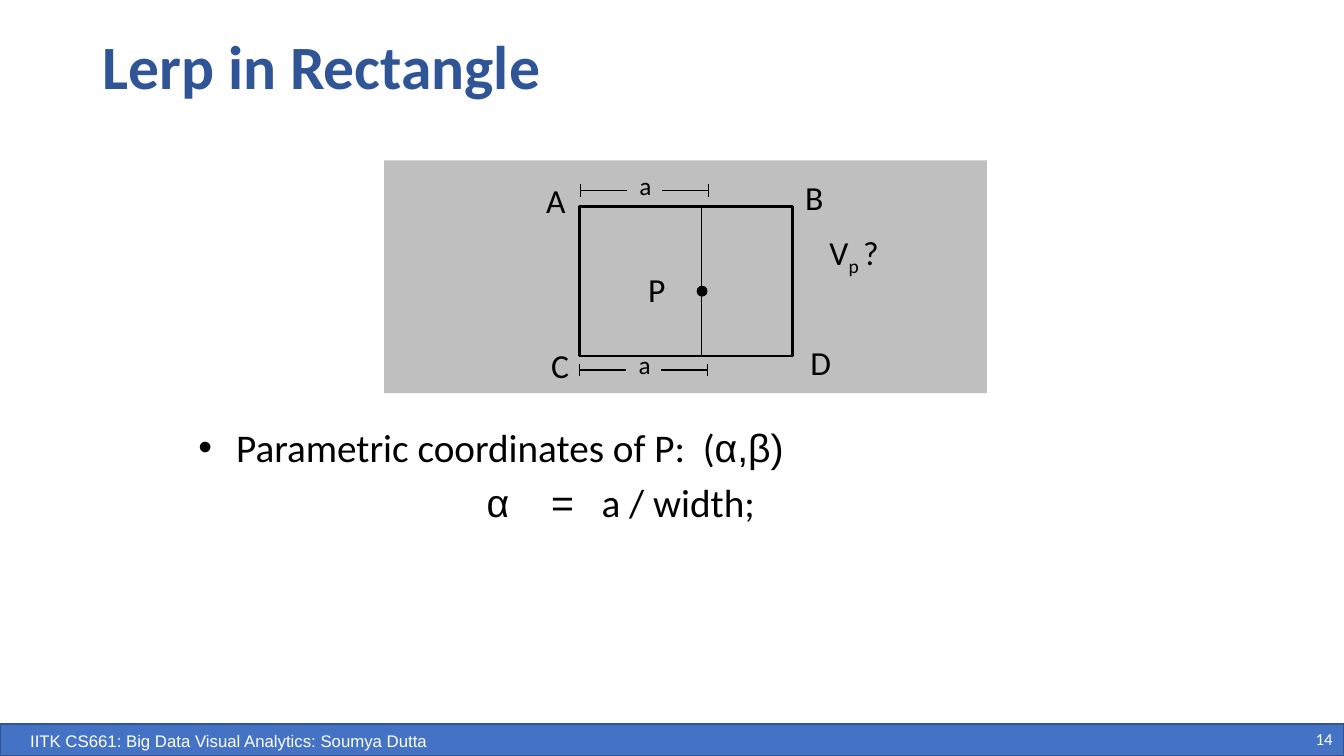
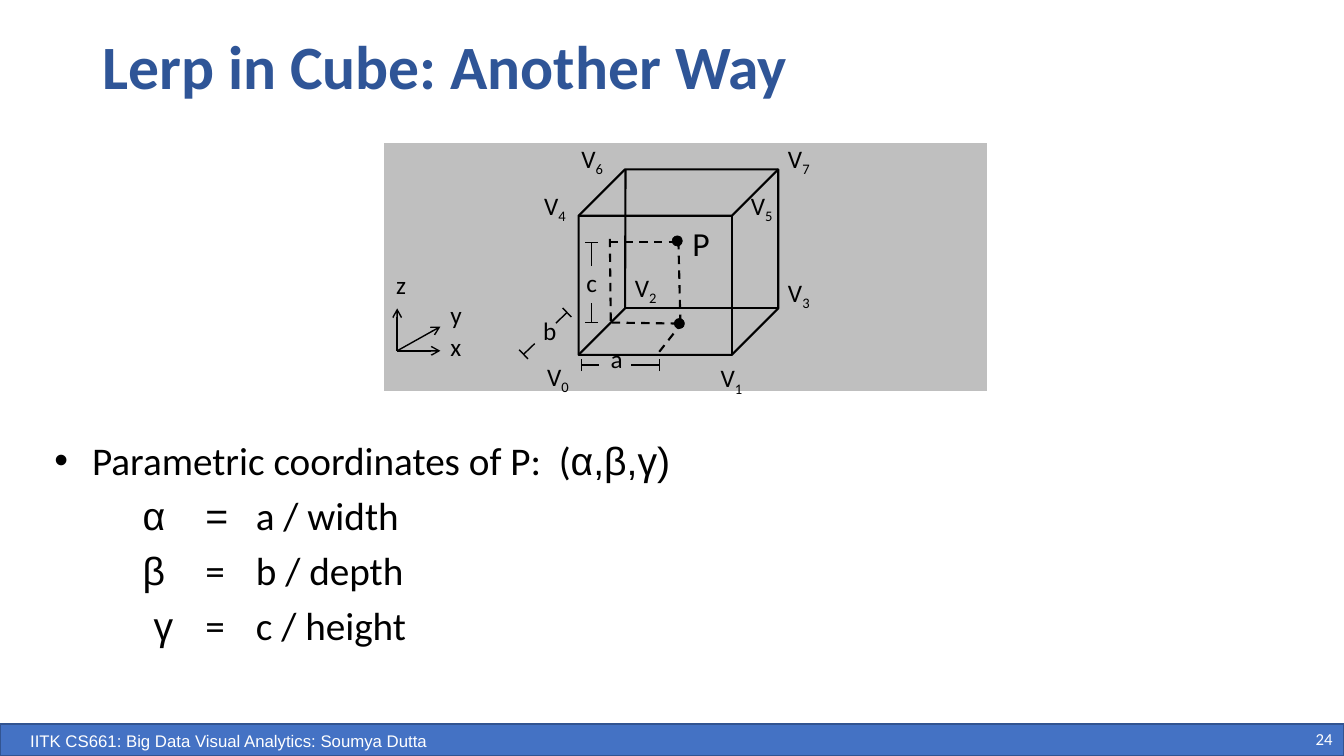
import math
from lxml import etree
from pptx import Presentation
from pptx.dml.color import RGBColor
from pptx.enum.dml import MSO_LINE
from pptx.enum.shapes import MSO_CONNECTOR, MSO_SHAPE
from pptx.enum.text import MSO_ANCHOR, MSO_AUTO_SIZE, PP_ALIGN
from pptx.oxml.ns import qn
from pptx.util import Pt

RECT, CUBE, OVAL = MSO_SHAPE.RECTANGLE, MSO_SHAPE.CUBE, MSO_SHAPE.OVAL
STRAIGHT, DASH = MSO_CONNECTOR.STRAIGHT, MSO_LINE.DASH
TOP, MIDDLE = MSO_ANCHOR.TOP, MSO_ANCHOR.MIDDLE
LEFT, CENTER, RIGHT = PP_ALIGN.LEFT, PP_ALIGN.CENTER, PP_ALIGN.RIGHT
FIT = MSO_AUTO_SIZE.SHAPE_TO_FIT_TEXT


def rgb(color):
    return RGBColor.from_string(color)


class Deck:
    SANS, ARIAL = "Calibri", "Arial"
    BLACK, WHITE, GRAY = "000000", "FFFFFF", "BFBFBF"
    TITLE, BAND, BAND_EDGE = "2F5597", "4472C4", "325491"
    WIDTH, HEIGHT = 960, 540
    FOOTER = "IITK CS661: Big Data Visual Analytics: Soumya Dutta"

    def __init__(self):
        self.prs = Presentation()
        self.prs.slide_width = Pt(self.WIDTH)
        self.prs.slide_height = Pt(self.HEIGHT)
        self.s = None

    def slide(self, title, number):
        self.s = self.prs.slides.add_slide(self.prs.slide_layouts[6])
        self.shape(RECT, 0, 517, self.WIDTH, 23, self.BAND, self.BAND_EDGE)
        tf = self.box(894, 516, 65, 23, MIDDLE)
        self.run(self.para(tf, RIGHT), str(number), 12, color=self.WHITE)
        tf = self.box(0, 518.4, 327, 21.6)
        self.run(self.para(tf, CENTER), self.FOOTER, 12, self.ARIAL, self.WHITE)
        tf = self.box(66, 17, 828, 66, MIDDLE)
        p = self.para(tf)
        p.line_spacing = 0.9
        self.run(p, title, 44, color=self.TITLE).font.bold = True

    def box(self, x, y, w, h, anchor=TOP, wrap=True):
        tf = self.s.shapes.add_textbox(Pt(x), Pt(y), Pt(w), Pt(h)).text_frame
        tf.word_wrap = wrap
        tf.vertical_anchor = anchor
        return tf

    def para(self, tf, align=LEFT):
        p = tf.paragraphs[0] if not tf.paragraphs[0].runs else tf.add_paragraph()
        p.alignment = align
        return p

    def run(self, p, text, size, font=SANS, color=BLACK, sub=False):
        r = p.add_run()
        r.text = text
        r.font.size, r.font.name = Pt(size), font
        r.font.color.rgb = rgb(color)
        if sub:
            r._r.get_or_add_rPr().set("baseline", "-25000")
        return r

    def shape(self, kind, x, y, w, h, fill=None, line=None, weight=1):
        sp = self.s.shapes.add_shape(kind, Pt(x), Pt(y), Pt(w), Pt(h))
        sp.shadow.inherit = False
        if fill:
            sp.fill.solid()
            sp.fill.fore_color.rgb = rgb(fill)
        else:
            sp.fill.background()
        if line:
            sp.line.color.rgb = rgb(line)
            sp.line.width = Pt(weight)
        else:
            sp.line.fill.background()
        return sp

    def dot(self, x, y):
        self.shape(OVAL, x - 3.6, y - 3.6, 7.2, 7.2, self.BLACK, self.BLACK, 0.5)

    def line(self, x1, y1, x2, y2, weight=1, dash=False, arrow=False):
        c = self.s.shapes.add_connector(STRAIGHT, Pt(x1), Pt(y1), Pt(x2), Pt(y2))
        c.line.color.rgb = rgb(self.BLACK)
        c.line.width = Pt(weight)
        if dash:
            c.line.dash_style = DASH
        if arrow:
            etree.SubElement(c.line._get_or_add_ln(), qn("a:tailEnd"), type="arrow")
        etree.SubElement(c._element.spPr, qn("a:effectLst"))

    def label(self, x, y, w, text, size=18, sub="", rest=""):
        tf = self.box(x, y, w, size * 1.2 + 7.2, wrap=False)
        tf.auto_size = FIT
        p = self.para(tf)
        self.run(p, text, size)
        if sub:
            self.run(p, sub, size, sub=True)
        if rest:
            self.run(p, rest, size)

    def dimension(self, start, end, bars, text, text_at):
        (x1, y1), (x2, y2) = start, end
        length = math.hypot(x2 - x1, y2 - y1)
        ux, uy = (x2 - x1) / length, (y2 - y1) / length
        for (x, y), bar in ((start, bars[0]), (end, -bars[1])):
            self.line(x, y, x + bar * ux, y + bar * uy)
            self.line(x - 4.5 * uy, y + 4.5 * ux, x + 4.5 * uy, y - 4.5 * ux)
        self.label(*text_at, 23, text)

    def body(self, x, y, w, symbols, formulas):
        tf = self.box(x, y, w, 195)
        p = self.para(tf)
        pPr = p._p.get_or_add_pPr()
        pPr.set("marL", str(Pt(27)))
        pPr.set("indent", str(Pt(-27)))
        etree.SubElement(pPr, qn("a:buFont"), typeface=self.ARIAL)
        etree.SubElement(pPr, qn("a:buChar"), char="•")
        self.run(p, "Parametric coordinates of P:  (", 28)
        self.run(p, symbols + ")", 28, self.ARIAL)
        for symbol, ratio, equals_font, start, stops in formulas:
            p = self.para(tf)
            p.space_before = Pt(5.6)
            pPr = p._p.get_or_add_pPr()
            pPr.set("marL", "0")
            pPr.set("indent", str(Pt(start)))
            etree.SubElement(pPr, qn("a:buNone"))
            tabs = etree.SubElement(pPr, qn("a:tabLst"))
            for stop in stops:
                etree.SubElement(tabs, qn("a:tab"), pos=str(Pt(stop)), algn="l")
            self.run(p, symbol, 28, self.ARIAL)
            self.run(p, "\t=", 28, equals_font)
            self.run(p, "\t" + ratio, 28)


def rectangle_slide(d):
    d.slide("Lerp in Rectangle", 14)
    d.shape(RECT, 274.3, 114.5, 430.6, 166.3, d.GRAY)
    d.shape(RECT, 414, 147.6, 152, 106.6, line=d.BLACK, weight=1.75)
    for x, y, corner in ((383, 125.3, "A"), (568, 123.1, "B"),
                         (386.6, 242.6, "C"), (571.7, 240.5, "D"),
                         (455.8, 188.6, "P")):
        d.label(x, y, 28.5, corner, 24)
    d.label(585.4, 162, 51.8, "V", 24, "p ", "?")
    d.dot(501.5, 208)
    d.line(501.1, 147, 501.1, 254.2)
    for x, y in ((414.7, 136.1), (414, 264.4)):
        d.dimension((x, y), (x + 91.4, y), (33, 33), "a", (x + 35, y - 18.1))
    d.body(134.6, 298.8, 675.4, "α,β",
           [("α", "a / width;", d.ARIAL, 206, (230, 262))])


def cube_slide(d):
    d.slide("Lerp in Cube: Another Way", 24)
    d.shape(RECT, 274.3, 102.2, 430.6, 177, d.GRAY)
    d.shape(CUBE, 413.3, 121, 142.6, 132.5, line=d.BLACK, weight=1.5)
    hidden = (446.5, 220.3)
    for x, y in ((446.8, 121), (413.3, 253.4), (555.8, 220.3)):
        d.line(x, y, *hidden, 1.5)

    origin = (283.7, 250.6)
    for name, end, at in (("x", (314.6, 250.6), (314.6, 233.3)),
                          ("y", (314.6, 233.3), (314.6, 210.2)),
                          ("z", (283.7, 220.3), (275.8, 188.6))):
        d.line(*origin, *end, arrow=True)
        d.label(*at, 22.5, name)

    for ends in ((437, 230.4, 483.1, 231.1), (484.6, 172.1, 486, 230.4),
                 (470.9, 251.3, 489.6, 227.5), (435.6, 172.8, 486.7, 172.8),
                 (435.6, 170.6, 436.3, 229.7)):
        d.line(*ends, 1.5, dash=True)
    d.dot(483.8, 172.1)
    d.dot(485.3, 231.1)

    d.dimension((415.4, 260.6), (470.9, 260.6), (12.5, 20), "a", (429.1, 241.9))
    d.dimension((374, 253.1), (405, 223.2), (11, 11), "b", (380.9, 221.8))
    d.dimension((422.6, 173.3), (422.6, 230.4), (17, 14), "c", (411.8, 187.2))

    vertices = ((383.8, 254.2), (507.6, 255.6), (446.4, 190.8), (555.8, 194.4),
                (381.6, 132.5), (529.2, 132.5), (408.2, 98.6), (555.8, 98.6))
    for i, (x, y) in enumerate(vertices):
        d.label(x, y, 31, "V", sub=str(i))
    d.label(487.4, 155.5, 27.4, "P", 24)
    d.body(31.7, 308.2, 467.3, "α,β,γ",
           [("α", "a / width", d.ARIAL, 63, (86, 118)),
            ("β", "b / depth", d.SANS, 63, (93, 125)),
            ("γ", "c / height", d.SANS, 71, (92, 124))])


def main():
    d = Deck()
    rectangle_slide(d)
    cube_slide(d)
    d.prs.save("out.pptx")


if __name__ == "__main__":
    main()
